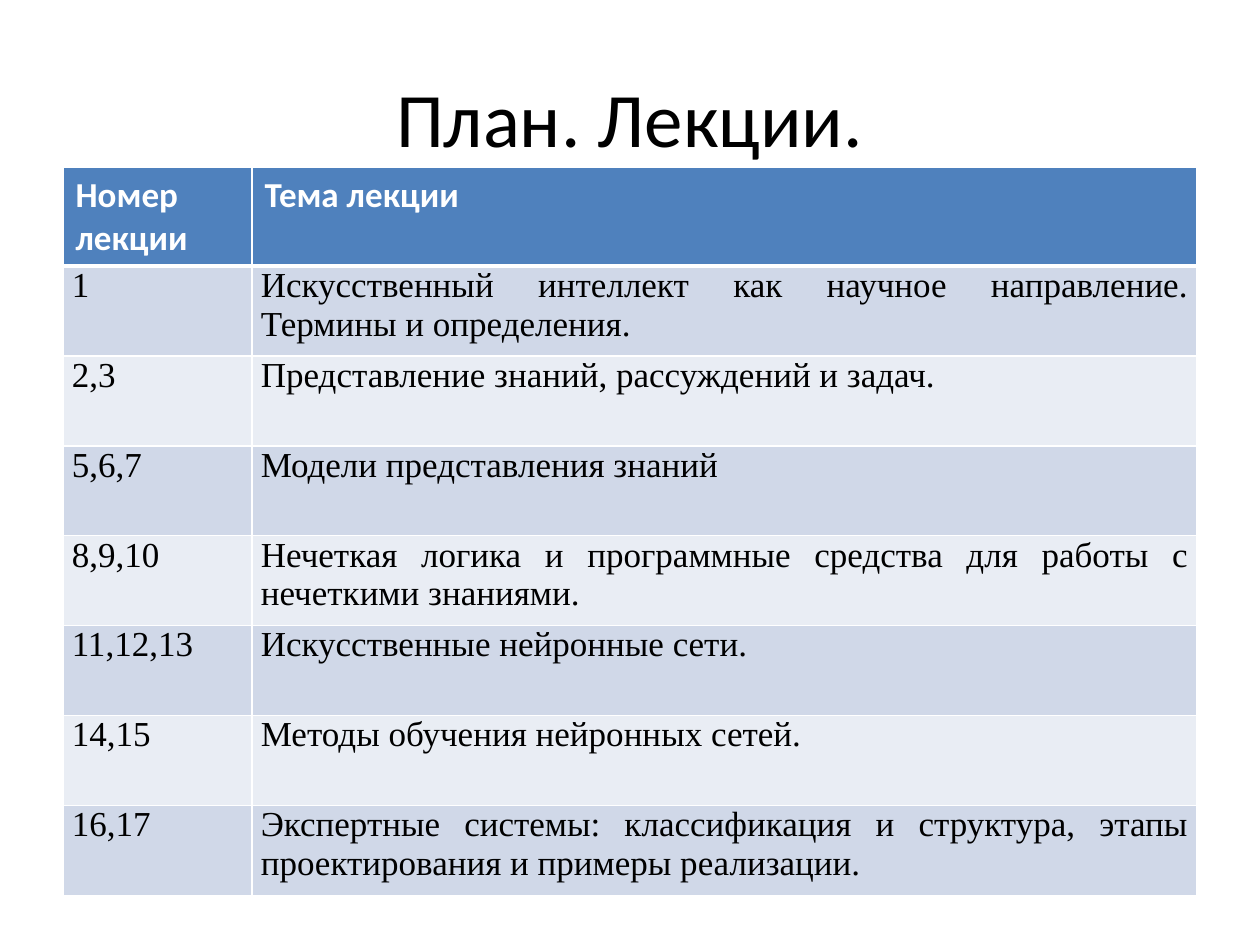
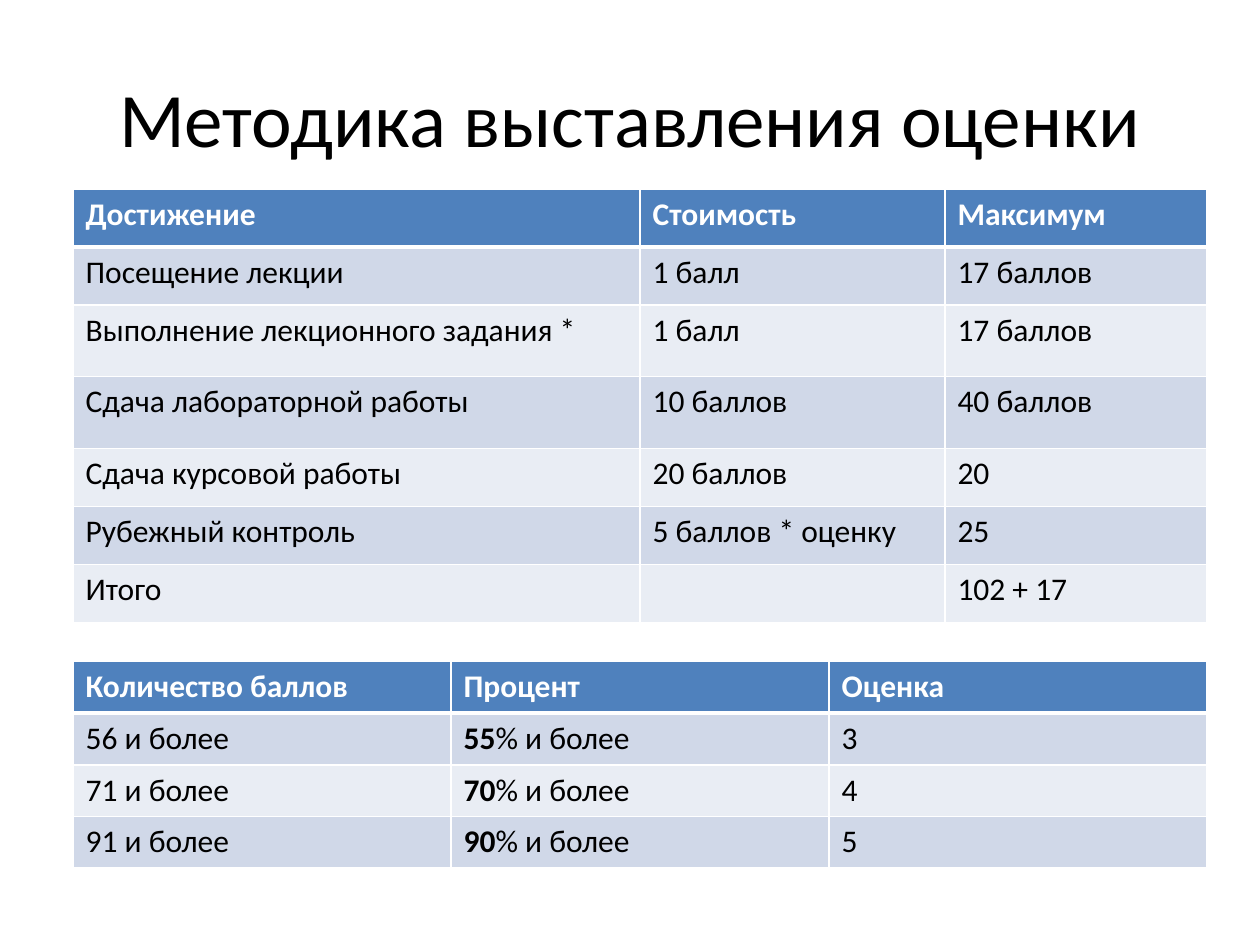
from lxml import etree
from pptx import Presentation
from pptx.dml.color import RGBColor
from pptx.enum.text import MSO_ANCHOR, PP_ALIGN
from pptx.oxml.ns import qn
from pptx.util import Inches, Pt

CENTER, LEFT, JUSTIFY = PP_ALIGN.CENTER, PP_ALIGN.LEFT, PP_ALIGN.JUSTIFY
MIDDLE = MSO_ANCHOR.MIDDLE

BLACK, WHITE = "000000", "FFFFFF"
HEADER_FILL = "4F81BD"
BAND_FILLS = ("D0D8E8", "E9EDF4")
SANS, SERIF = "Calibri", "Times New Roman"
TITLE_BOX = (0.5, 0.3, 9, 1.25)
THIN, THICK = 1, 3
HANGING = 0.38

LECTURES = [
    ("Номер лекции", "Тема лекции"),
    ("1", "Искусственный интеллект как научное направление. Термины и определения."),
    ("2,3", "Представление знаний, рассуждений и задач."),
    ("5,6,7", "Модели представления знаний"),
    ("8,9,10", "Нечеткая логика и программные средства для работы с нечеткими знаниями."),
    ("11,12,13", "Искусственные нейронные сети."),
    ("14,15", "Методы обучения нейронных сетей."),
    ("16,17", "Экспертные системы: классификация и структура, "
              "этапы проектирования и примеры реализации."),
]
ACHIEVEMENTS = [
    ("Достижение", "Стоимость", "Максимум"),
    ("Посещение лекции", "1 балл", "17 баллов"),
    ("Выполнение лекционного задания *", "1 балл", "17 баллов"),
    ("Сдача лабораторной работы", "10 баллов", "40 баллов"),
    ("Сдача курсовой работы", "20 баллов", "20"),
    ("Рубежный контроль", "5 баллов * оценку", "25"),
    ("Итого", "", "102 + 17"),
]
# A tuple in a cell holds a bold beginning and a plain rest.
GRADES = [
    ("Количество баллов", "Процент", "Оценка"),
    ("56 и более", ("55", "% и более"), "3"),
    ("71 и более", ("70", "% и более"), "4"),
    ("91 и более", ("90", "% и более"), "5"),
]


def rgb(value):
    return RGBColor.from_string(value)


def style_font(font, name, size, color, bold=False):
    font.name = name
    font.size = Pt(size)
    font.bold = bold
    font.color.rgb = rgb(color)


def add_titled_slide(prs, title):
    slide = prs.slides.add_slide(prs.slide_layouts[5])
    heading = slide.shapes.title
    heading.left, heading.top, heading.width, heading.height = map(Inches, TITLE_BOX)
    heading.text_frame.text = title
    heading.text_frame.vertical_anchor = MIDDLE
    paragraph = heading.text_frame.paragraphs[0]
    paragraph.alignment = CENTER
    style_font(paragraph.font, SANS, 44, BLACK)
    return slide


def set_borders(cell, top, bottom):
    """Draw white borders; must run before the cell is filled."""
    properties = cell._tc.get_or_add_tcPr()
    for side, points in (("L", THIN), ("R", THIN), ("T", top), ("B", bottom)):
        line = etree.SubElement(properties, qn(f"a:ln{side}"), w=str(Pt(points)))
        fill = etree.SubElement(line, qn("a:solidFill"))
        etree.SubElement(fill, qn("a:srgbClr"), val=WHITE)


def write_cell(cell, content, font_name, size, color, bold):
    paragraph = cell.text_frame.paragraphs[0]
    style_font(paragraph.font, font_name, size, color, bold)
    if isinstance(content, tuple):
        for text, is_bold in zip(content, (True, False)):
            run = paragraph.add_run()
            run.text = text
            run.font.bold = is_bold
    elif content:
        paragraph.add_run().text = content


def add_banded_table(slide, left, top, widths, heights, rows, size, body_font=SANS):
    frame = slide.shapes.add_table(
        len(rows), len(widths), Inches(left), Inches(top),
        Inches(sum(widths)), Inches(sum(heights)))
    table = frame.table
    for column, width in zip(table.columns, widths):
        column.width = Inches(width)
    for r, (row, height) in enumerate(zip(rows, heights)):
        table.rows[r].height = Inches(height)
        is_header = r == 0
        for c, content in enumerate(row):
            cell = table.cell(r, c)
            set_borders(cell, THICK if r == 1 else THIN, THICK if is_header else THIN)
            cell.fill.solid()
            cell.fill.fore_color.rgb = rgb(HEADER_FILL if is_header else BAND_FILLS[(r - 1) % 2])
            write_cell(cell, content, SANS if is_header else body_font, size,
                       WHITE if is_header else BLACK, is_header)
    return table


def set_lecture_layout(table):
    """Tighten the body cells, hang the numbers and justify the topics."""
    for r in range(1, len(table.rows)):
        number, topic = table.cell(r, 0), table.cell(r, 1)
        for cell, alignment in ((number, LEFT), (topic, JUSTIFY)):
            cell.margin_left = cell.margin_right = Inches(0.07)
            cell.margin_top = cell.margin_bottom = 0
            cell.text_frame.paragraphs[0].alignment = alignment
        properties = number.text_frame.paragraphs[0]._p.get_or_add_pPr()
        properties.set("marL", str(Inches(HANGING)))
        properties.set("indent", str(-Inches(HANGING)))


def build_lecture_plan(prs):
    slide = add_titled_slide(prs, "План. Лекции.")
    heights = [0.76] + [0.714] * (len(LECTURES) - 1)
    table = add_banded_table(slide, 0.5, 1.33, (1.5, 7.5), heights, LECTURES, 20, SERIF)
    set_lecture_layout(table)


def build_grading(prs):
    slide = add_titled_slide(prs, "Методика выставления оценки")
    add_banded_table(slide, 0.58, 5.25, [3] * 3, [0.41] * len(GRADES), GRADES, 18)
    heights = [0.46, 0.46, 0.57, 0.57, 0.46, 0.46, 0.46]
    add_banded_table(slide, 0.58, 1.5, (4.5, 2.42, 2.08), heights, ACHIEVEMENTS, 18)


def main():
    prs = Presentation()
    prs.slide_width, prs.slide_height = Inches(10), Inches(7.5)
    build_lecture_plan(prs)
    build_grading(prs)
    prs.save("out.pptx")


if __name__ == "__main__":
    main()
